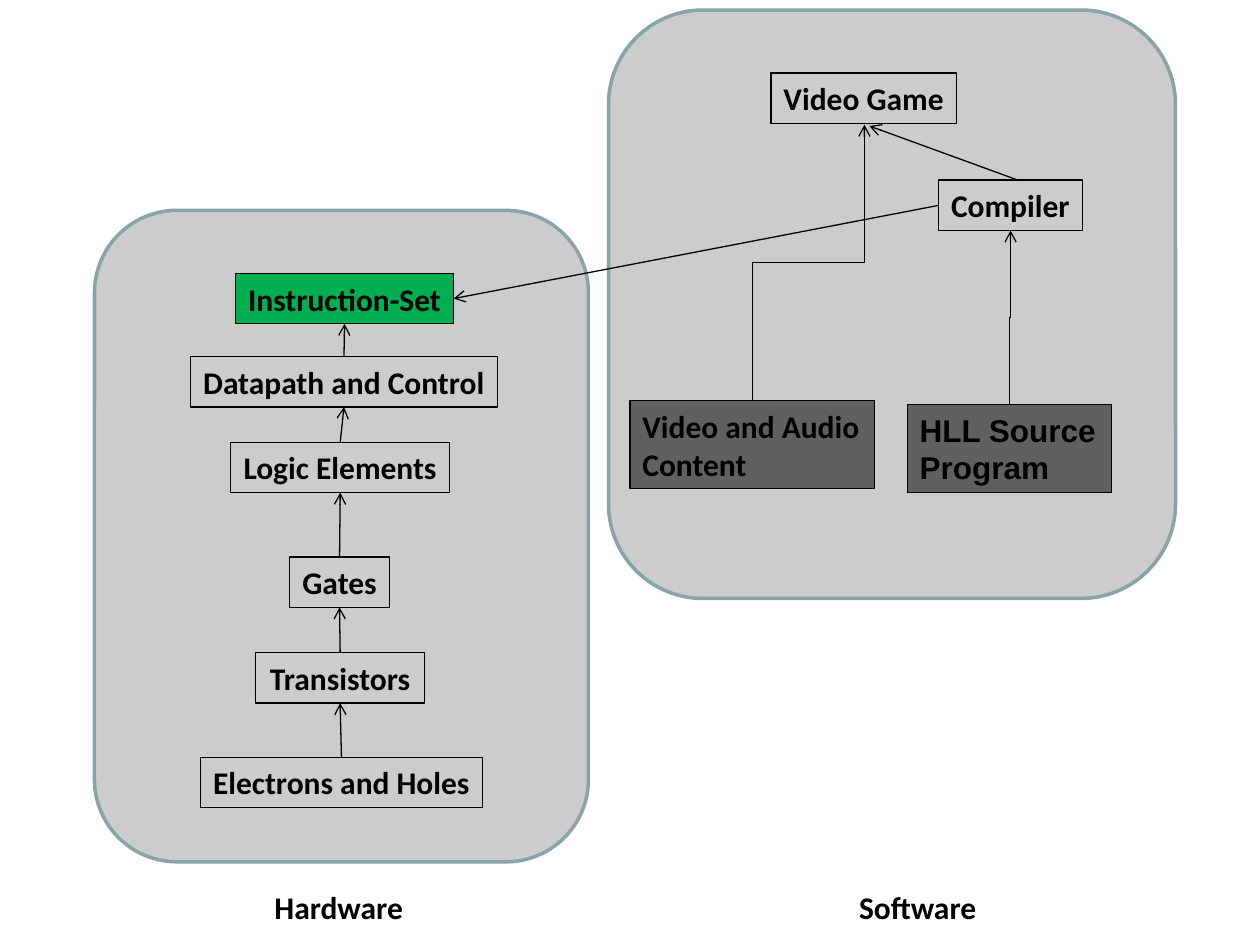
import itertools

import pptx
import pptx.dml.color
import pptx.enum.shapes
import pptx.enum.text
import pptx.oxml
import pptx.oxml.ns
import pptx.util

Inches = pptx.util.Inches
RGBColor = pptx.dml.color.RGBColor
Connector = pptx.enum.shapes.MSO_CONNECTOR
Align = pptx.enum.text.PP_ALIGN

BLACK = RGBColor(0x00, 0x00, 0x00)
PANEL_GREY = RGBColor(0xCC, 0xCC, 0xCC)
PANEL_EDGE = RGBColor(0x89, 0xA4, 0xA7)
GREEN = RGBColor(0x00, 0xB0, 0x50)
DARK_GREY = RGBColor(0x60, 0x60, 0x60)

TOP, LEFT, BOTTOM, RIGHT = range(4)
BOX_HEIGHT = 0.4

HARDWARE_LEVELS = [
    ("Instruction-Set", 1.87, 2.17, 1.73, GREEN),
    ("Datapath and Control", 1.51, 2.83, 2.44, None),
    ("Logic Elements", 1.83, 3.51, 1.74, None),
    ("Gates", 2.3, 4.42, 0.79, None),
    ("Transistors", 2.03, 5.18, 1.34, None),
    ("Electrons and Holes", 1.59, 6.01, 2.24, None),
]


def add_panel(page, left, top, width, height):
    panel = page.shapes.add_shape(
        pptx.enum.shapes.MSO_SHAPE.ROUNDED_RECTANGLE,
        Inches(left), Inches(top), Inches(width), Inches(height))
    panel.shadow.inherit = False
    panel.fill.solid()
    panel.fill.fore_color.rgb = PANEL_GREY
    panel.line.color.rgb = PANEL_EDGE
    panel.line.width = pptx.util.Pt(2)


def add_label(page, text, left, top, width, height=BOX_HEIGHT,
              align=Align.LEFT, font="Calibri"):
    box = page.shapes.add_textbox(
        Inches(left), Inches(top), Inches(width), Inches(height))
    frame = box.text_frame
    frame.word_wrap = False
    frame.auto_size = pptx.enum.text.MSO_AUTO_SIZE.SHAPE_TO_FIT_TEXT
    frame.text = text
    for para in frame.paragraphs:
        para.alignment = align
        para.font.name = font
        para.font.size = pptx.util.Pt(18)
        para.font.bold = True
        para.font.color.rgb = BLACK
    return box


def add_box(page, text, left, top, width, fill=None, **options):
    box = add_label(page, text, left, top, width, **options)
    box.line.color.rgb = BLACK
    box.line.width = pptx.util.Pt(0.75)
    if fill is not None:
        box.fill.solid()
        box.fill.fore_color.rgb = fill
    return box


def add_arrow(page, start, end, kind=Connector.STRAIGHT):
    arrow = page.shapes.add_connector(
        kind, *(Inches(value) for value in (*start, *end)))
    arrow.line.color.rgb = BLACK
    arrow.line.width = pptx.util.Pt(0.75)
    head = pptx.oxml.parse_xml(
        f'<a:tailEnd {pptx.oxml.ns.nsdecls("a")} type="arrow"/>')
    outline = arrow._element.spPr.find(pptx.oxml.ns.qn("a:ln"))
    outline.append(head)
    arrow._element.spPr.append(pptx.oxml.parse_xml(
        f'<a:effectLst {pptx.oxml.ns.nsdecls("a")}/>'))
    return arrow


def join_boxes(page, source, source_side, target, target_side):
    arrow = add_arrow(page, (0, 0), (1, 1))
    arrow.begin_connect(source, source_side)
    arrow.end_connect(target, target_side)


def add_upward_elbow(page, start, end):
    middle_x = (start[0] + end[0]) / 2
    middle_y = (start[1] + end[1]) / 2
    half_rise = (start[1] - end[1]) / 2
    half_run = (end[0] - start[0]) / 2
    arrow = add_arrow(
        page, (middle_x + half_rise, middle_y + half_run),
        (middle_x - half_rise, middle_y - half_run), Connector.ELBOW)
    frame = arrow._element.spPr.find(pptx.oxml.ns.qn("a:xfrm"))
    frame.set("rot", "5400000")


def add_hardware(page):
    add_panel(page, 0.75, 1.67, 3.92, 5.17)
    levels = [add_box(page, *level, align=Align.CENTER)
              for level in HARDWARE_LEVELS]
    for upper, lower in itertools.pairwise(levels):
        join_boxes(page, lower, TOP, upper, BOTTOM)
    add_label(page, "Hardware", 2.08, 7, 1.23)
    return levels[0]


def add_software(page):
    add_panel(page, 4.83, 0.08, 4.5, 4.67)
    add_box(page, "Video Game", 6.12, 0.58, 1.47)
    compiler = add_box(page, "Compiler", 7.45, 1.43, 1.14)
    add_box(page, "Video and Audio\nContent", 5, 3.18, 1.94,
            DARK_GREY, height=0.7)
    add_box(page, "HLL Source\nProgram", 7.2, 3.21, 1.62,
            DARK_GREY, height=0.7, font="Arial")
    add_upward_elbow(page, (5.97, 3.18), (6.86, 0.99))
    add_upward_elbow(page, (8.01, 3.21), (8.02, 1.83))
    add_arrow(page, (8.08, 1.43), (6.9, 1))
    add_label(page, "Software", 6.72, 7, 1.13)
    return compiler


def main():
    deck = pptx.Presentation()
    deck.slide_width = Inches(10)
    deck.slide_height = Inches(7.5)
    page = deck.slides.add_slide(deck.slide_layouts[6])
    compiler = add_software(page)
    instruction_set = add_hardware(page)
    join_boxes(page, compiler, LEFT, instruction_set, RIGHT)
    deck.save("out.pptx")


if __name__ == "__main__":
    main()
